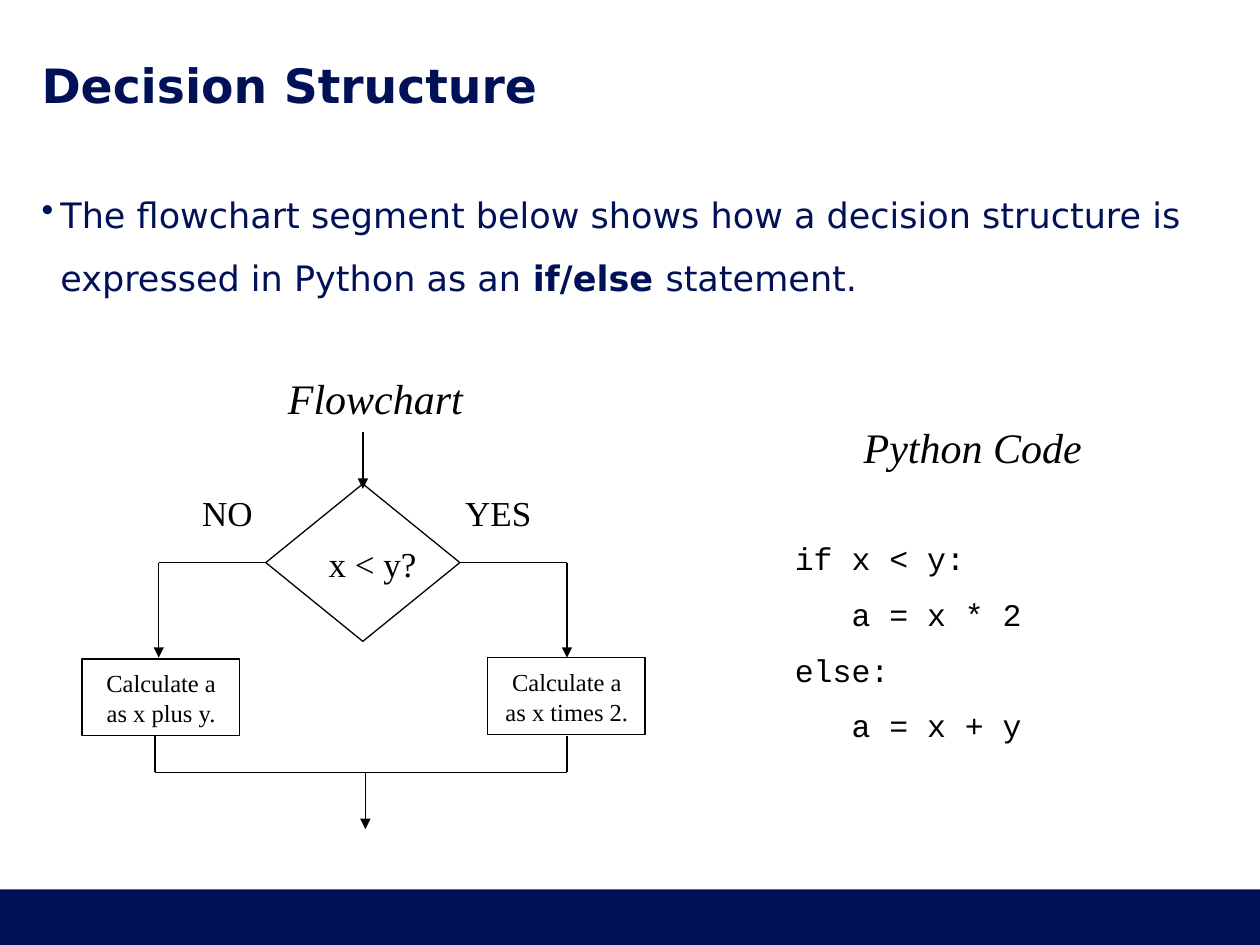
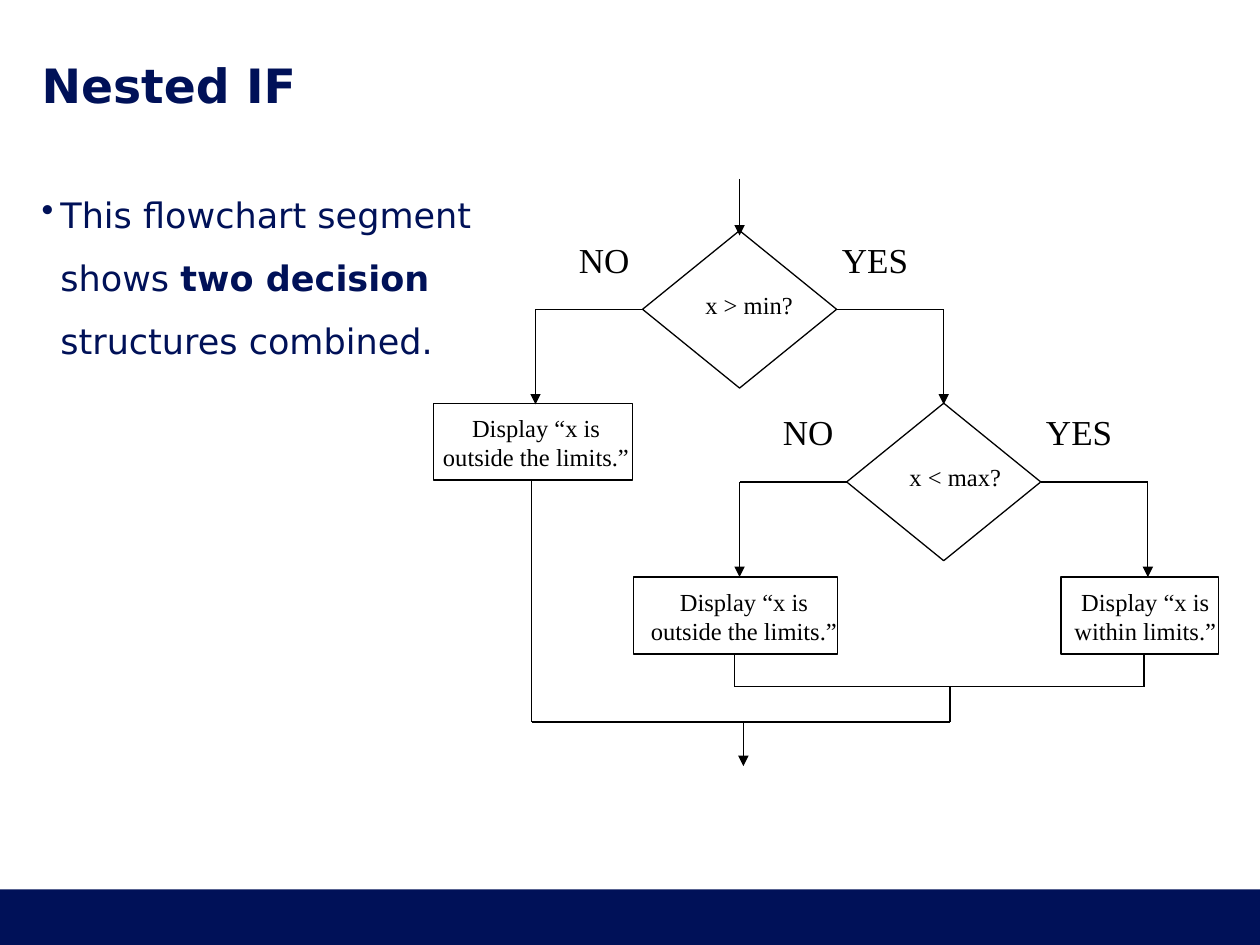
from dataclasses import dataclass
from itertools import pairwise

from lxml import etree
from pptx import Presentation
from pptx import util as u
from pptx.dml.color import RGBColor
from pptx.enum import shapes, text
from pptx.oxml.ns import qn


@dataclass(frozen=True)
class Theme:
    navy: RGBColor = RGBColor(0x00, 0x11, 0x58)
    ink: RGBColor = RGBColor(0, 0, 0)
    sans: str = "DejaVu Sans"
    serif: str = "Times New Roman"
    mono: str = "Courier New"
    title: int = 27
    heading: int = 24
    body: int = 20
    code: int = 18
    small: int = 14
    stroke: float = 0.75


THEME = Theme()
COLUMNS, ROWS = 100, 75
DIAMOND_WIDTH, DIAMOND_HEIGHT = 15.4, 12.5
STEP_HEIGHT = 6.1
CODE_INDENT = 4.5


def cells(count):
    """Length of a number of grid cells, each a tenth of an inch."""
    return u.Inches(count / 10)


def place(left, top, width, height):
    return [cells(n) for n in (left, top, width, height)]


def style(paragraph, size, font=THEME.serif, color=THEME.ink,
          bold=False, italic=False, align=text.PP_ALIGN.LEFT):
    paragraph.alignment = align
    face = paragraph.font
    face.name, face.size = font, u.Pt(size)
    face.bold, face.italic = bold, italic
    face.color.rgb = color


def set_insets(frame, left=0, top=0, right=0, bottom=0):
    frame.margin_left, frame.margin_top = cells(left), cells(top)
    frame.margin_right, frame.margin_bottom = cells(right), cells(bottom)


def add_frame(slide, *box):
    frame = slide.shapes.add_textbox(*place(*box)).text_frame
    frame.word_wrap = True
    return frame


def add_label(slide, words, box, size=THEME.body, **look):
    paragraph = add_frame(slide, *box).paragraphs[0]
    paragraph.text = words
    style(paragraph, size, **look)


def add_outline(slide, kind, *box):
    shape = slide.shapes.add_shape(kind, *place(*box))
    shape.shadow.inherit = False
    shape.fill.background()
    shape.line.color.rgb = THEME.ink
    shape.line.width = u.Pt(THEME.stroke)
    return shape


def add_flow(slide, *points, arrow=False):
    """Straight lines through the points, with an arrowhead on the last."""
    for start, end in pairwise(points):
        line = slide.shapes.add_connector(
            shapes.MSO_CONNECTOR.STRAIGHT, *(cells(n) for n in start + end))
        line.line.color.rgb = THEME.ink
        line.line.width = u.Pt(THEME.stroke)
        properties = line._element.spPr
        if arrow and end == points[-1]:
            etree.SubElement(line.line._get_or_add_ln(), qn("a:tailEnd"), type="triangle")
        etree.SubElement(properties, qn("a:effectLst"))


def add_decision(slide, left, top, question, size, entry=True):
    """A diamond with its NO branch to the left and YES branch to the right."""
    add_outline(slide, shapes.MSO_SHAPE.FLOWCHART_DECISION,
                left, top, DIAMOND_WIDTH, DIAMOND_HEIGHT)
    add_label(slide, question, (left + 4, top + 4.2, 9.4, 4.3), size)
    middle = top + DIAMOND_HEIGHT / 2
    sides = (("NO", left - 7.2, left, left - 8.5),
             ("YES", left + 14.3, left + DIAMOND_WIDTH, left + 23.9))
    for answer, answer_left, corner, branch in sides:
        add_label(slide, answer, (answer_left, top + 0.1, 8.3, 4.3),
                  align=text.PP_ALIGN.CENTER)
        add_flow(slide, (corner, middle), (branch, middle), (branch, top + 13.8),
                 arrow=True)
    if entry:
        center = left + DIAMOND_WIDTH / 2
        add_flow(slide, (center, top - 4.1), (center, top + 0.4), arrow=True)


def add_step(slide, left, top, width, words, pad_left, pad_right=0):
    frame = add_outline(slide, shapes.MSO_SHAPE.RECTANGLE,
                        left, top, width, STEP_HEIGHT).text_frame
    frame.word_wrap = True
    frame.vertical_anchor = text.MSO_ANCHOR.TOP
    set_insets(frame, pad_left, 0.75, pad_right)
    frame.text = words
    style(frame.paragraphs[0], THEME.small, align=text.PP_ALIGN.CENTER)


def add_merge(slide, left, left_bottom, right, right_bottom, join):
    add_flow(slide, (left, left_bottom), (left, join), (right, join), (right, right_bottom))


def add_code(slide, box, lines):
    """Code lines given as pairs of indent level and statement."""
    frame = add_frame(slide, *box)
    for number, (level, statement) in enumerate(lines):
        paragraph = frame.add_paragraph() if number else frame.paragraphs[0]
        paragraph.text = statement
        paragraph.space_after = u.Pt(THEME.code * 0.57)
        paragraph._p.get_or_add_pPr().set("marL", str(cells(level * CODE_INDENT)))
        style(paragraph, THEME.code, font=THEME.mono)


def add_bullet(slide, pieces):
    """One bullet from (words, bold) pieces; a newline breaks the line."""
    frame = add_frame(slide, 3.3, 13.7, 93.4, 52.4)
    set_insets(frame)
    paragraph = frame.paragraphs[0]
    paragraph.line_spacing = 1.5
    properties = paragraph._p.get_or_add_pPr()
    properties.set("marL", str(cells(1.5)))
    properties.set("indent", str(-cells(1.5)))
    tint = etree.SubElement(properties, qn("a:buClr"))
    etree.SubElement(tint, qn("a:srgbClr"), val=str(THEME.navy))
    etree.SubElement(properties, qn("a:buChar"), char="•")
    style(paragraph, THEME.body, font=THEME.sans, color=THEME.navy)
    for words, bold in pieces:
        for number, part in enumerate(words.split("\n")):
            if number:
                paragraph.add_line_break()
            if part:
                run = paragraph.add_run()
                run.text = part
                run.font.bold = bold


def start_slide(deck, title):
    slide = deck.slides.add_slide(deck.slide_layouts[6])
    band = slide.shapes.add_shape(shapes.MSO_SHAPE.RECTANGLE,
                                  *place(0, 70.6, COLUMNS, ROWS - 70.6))
    band.shadow.inherit = False
    band.fill.solid()
    band.fill.fore_color.rgb = THEME.navy
    band.line.fill.background()
    frame = add_frame(slide, 3.3, 4.4, 93.4, 4.7)
    set_insets(frame)
    frame.vertical_anchor = text.MSO_ANCHOR.MIDDLE
    frame.text = title
    style(frame.paragraphs[0], THEME.title, font=THEME.sans, color=THEME.navy, bold=True)
    return slide


def build_decision_structure(deck):
    slide = start_slide(deck, "Decision Structure")
    add_bullet(slide, [
        ("The flowchart segment below shows how a decision structure is "
         "expressed in Python as an ", False),
        ("if/else ", True), ("statement.", False)])
    for heading, box in (("Flowchart", (21.1, 29.1, 17.4, 5)),
                         ("Python Code", (63.6, 33, 27.2, 5))):
        add_label(slide, heading, box, THEME.heading, italic=True,
                  align=text.PP_ALIGN.CENTER)
    add_decision(slide, 21.1, 38.4, "x < y?", THEME.body)
    add_step(slide, 6.5, 52.3, 12.5, "Calculate a as x plus y.", 1, 0.9)
    add_step(slide, 38.7, 52.2, 12.5, "Calculate a as x times 2.", 1, 0.9)
    add_merge(slide, 12.3, 58.4, 45, 58.4, join=61.3)
    add_flow(slide, (29, 61.3), (29, 65.8), arrow=True)
    add_code(slide, (62.1, 42.3, 32.1, 17.6),
             [(0, "if x < y:"), (1, "a = x * 2"), (0, "else:"), (1, "a = x + y")])


def build_nested_if(deck):
    slide = start_slide(deck, "Nested IF")
    add_bullet(slide, [("This flowchart segment \nshows ", False),
                       ("two decision \n", True), ("structures combined.", False)])
    add_decision(slide, 51, 18.3, "x > min?", THEME.small)
    add_decision(slide, 67.2, 32, "x < max?", THEME.small, entry=False)
    outside = "Display “x is outside the limits.”"
    add_step(slide, 34.4, 32, 15.8, outside, 0.5)
    add_step(slide, 50.3, 45.8, 16.2, outside, 1.3)
    add_step(slide, 84.2, 45.8, 12.5, "Display “x is within limits.”", 0.9)
    add_merge(slide, 58.3, 51.9, 90.8, 51.9, join=54.5)
    add_merge(slide, 42.2, 38.1, 75.4, 54.5, join=57.3)
    add_flow(slide, (59, 57.3), (59, 60.8), arrow=True)


def main():
    deck = Presentation()
    deck.slide_width, deck.slide_height = cells(COLUMNS), cells(ROWS)
    build_decision_structure(deck)
    build_nested_if(deck)
    deck.save("out.pptx")


if __name__ == "__main__":
    main()
